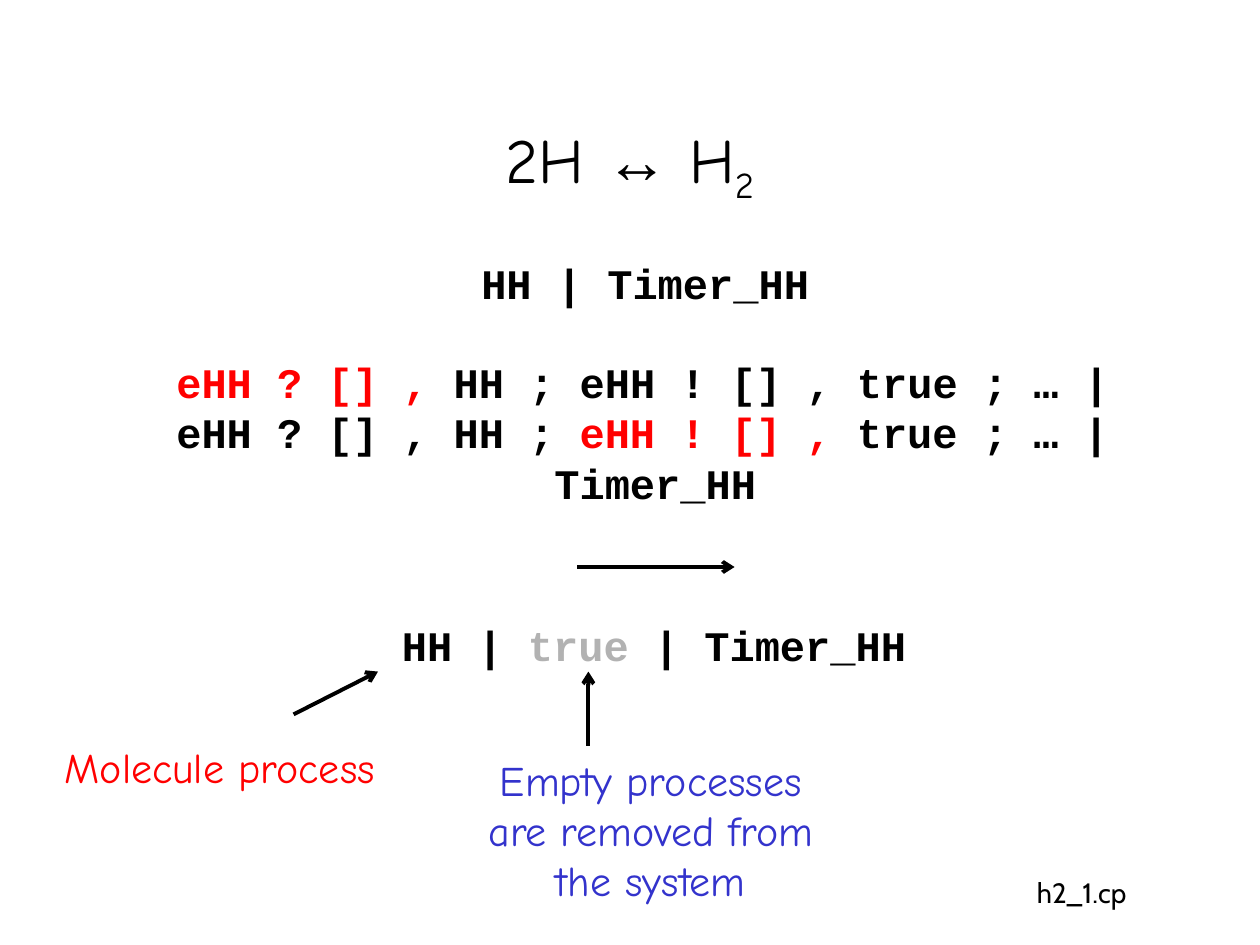
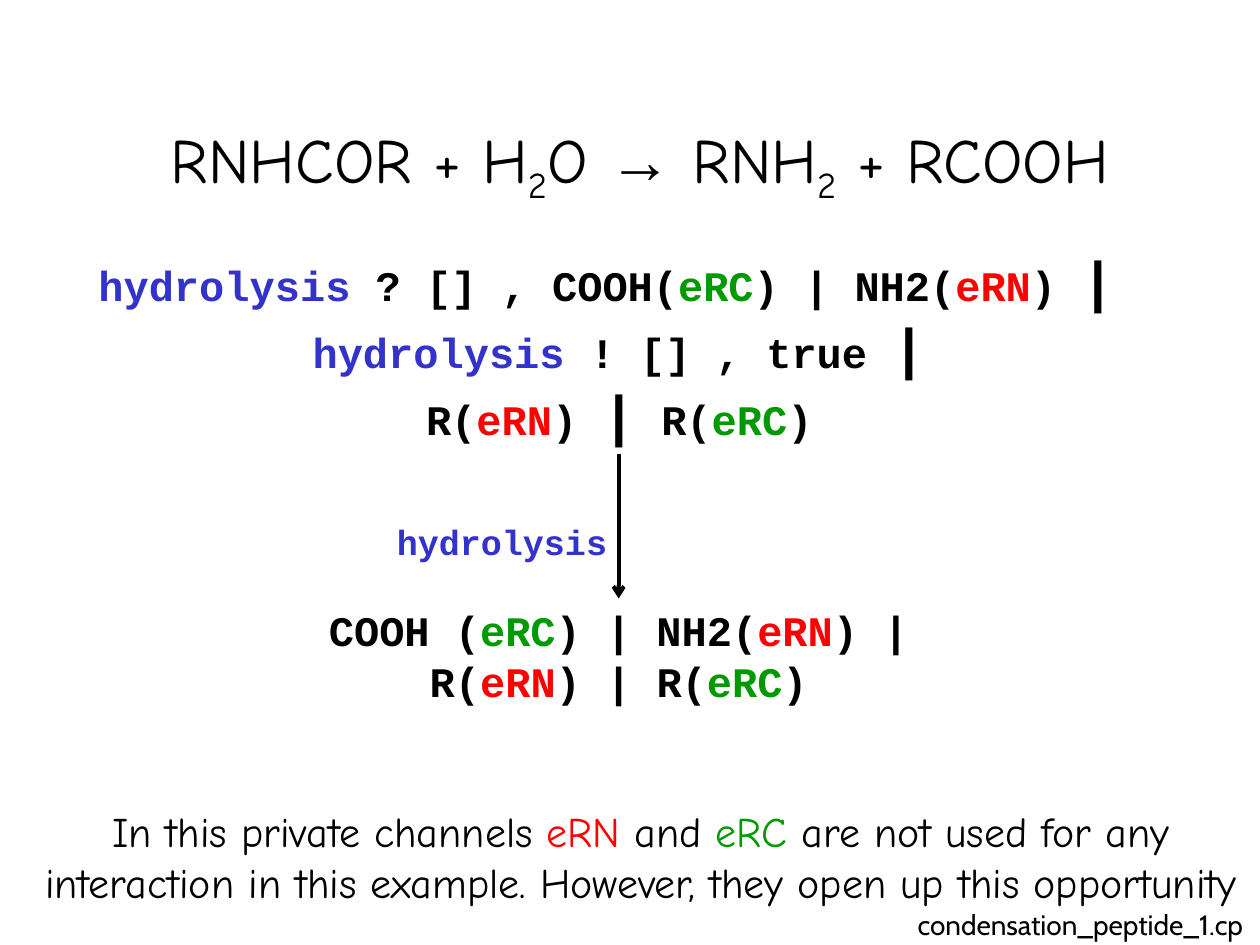
from lxml import etree
from pptx import Presentation
from pptx import util as u
from pptx.dml.color import RGBColor
from pptx.enum import shapes, text
from pptx.oxml.ns import qn

PX = 9144  # 100 px to the inch

RED = {"color": "FF0000"}
GREEN = {"color": "009900"}
BLUE = {"color": "3333CC"}
GREY = {"color": "B2B2B2"}
SUBSCRIPT = {"baseline": "-25000"}
SYMBOL = {"font": "Arial"}
TALL = {"size": 32}

TITLE = {"font": "Comic Neue", "size": 36}
NOTE = {"font": "Comic Neue", "size": 24}
CODE = {"font": "Courier New", "size": 24, "bold": True}
FILE_NAME = {"font": "Cabin", "size": 16}

MIDDLE = text.MSO_ANCHOR.MIDDLE
TOP = text.MSO_ANCHOR.TOP


def add_text(slide, box, style, runs, anchor=MIDDLE, wrap=False):
    """Add centred runs; each run is plain text or (text, style changes)."""
    shape = slide.shapes.add_textbox(*(n * PX for n in box))
    frame = shape.text_frame
    frame.word_wrap = wrap
    frame.vertical_anchor = anchor
    paragraph = frame.paragraphs[0]
    paragraph.alignment = text.PP_ALIGN.CENTER
    for entry in runs:
        words, changes = (entry, {}) if isinstance(entry, str) else entry
        look = {"color": "000000", **style, **changes}
        for number, line in enumerate(words.split("\n")):
            if number:
                paragraph.add_line_break()
            run = paragraph.add_run()
            run.text = line
            run.font.name = look["font"]
            run.font.size = u.Pt(look["size"])
            run.font.bold = look.get("bold", False)
            run.font.color.rgb = RGBColor.from_string(look["color"])
            if "baseline" in look:
                run._r.get_or_add_rPr().set("baseline", look["baseline"])
    return shape


def add_arrow(slide, *ends):
    arrow = slide.shapes.add_connector(
        shapes.MSO_CONNECTOR.STRAIGHT, *(n * PX for n in ends))
    arrow.line.color.rgb = RGBColor.from_string("000000")
    arrow.line.width = u.Pt(2.25)
    etree.SubElement(arrow.line._get_or_add_ln(), qn("a:tailEnd"), type="arrow")
    etree.SubElement(arrow._element.spPr, qn("a:effectLst"))


presentation = Presentation()
presentation.slide_width = 1000 * PX
presentation.slide_height = 750 * PX
blank = presentation.slide_layouts[6]

# Slide 1: hydrogen molecule
slide = presentation.slides.add_slide(blank)
add_text(slide, (75, 67, 850, 125), TITLE,
         ["2H ", ("↔", SYMBOL), " H", ("2", SUBSCRIPT)], wrap=True)
add_text(slide, (308, 183, 408, 83), CODE, ["HH | Timer_HH"])
add_text(slide, (130, 278, 760, 130), CODE, [
    ("eHH ? [] ,", RED), " HH ; eHH ! [] , true ; … |\neHH ? [] , HH ; ",
    ("eHH ! [] ,", RED), " true ; … |\n Timer_HH"], anchor=TOP)
add_text(slide, (309, 487, 420, 50), CODE,
         ["HH | ", ("true", GREY), " | Timer_HH"], anchor=TOP)
for left, top, note, color in (
        (375, 592, "Empty processes are removed from the system", BLUE),
        (33, 542, "Molecule process", RED)):
    add_text(slide, (left, top, 283, 133), NOTE, [(note, color)], wrap=True)
for ends in ((458, 450, 583, 450), (467, 592, 467, 533), (233, 567, 300, 533)):
    add_arrow(slide, *ends)
add_text(slide, (742, 692, 233, 33), FILE_NAME, ["h2_1.cp"])

# Slide 2: peptide hydrolysis
slide = presentation.slides.add_slide(blank)
add_text(slide, (58, 67, 900, 125), TITLE, [
    "RNHCOR + H", ("2", SUBSCRIPT), "O ", ("→", SYMBOL),
    " RNH", ("2", SUBSCRIPT), " + RCOOH"], wrap=True)
add_text(slide, (68, 190, 847, 170), CODE, [
    ("hydrolysis", BLUE), " ? [] , COOH(", ("eRC", GREEN), ") | NH2(",
    ("eRN", RED), ") ", ("|", TALL), " \n ",
    ("hydrolysis", BLUE), " ! [] , true ", ("|", TALL), " \nR(",
    ("eRN", RED), ") ", ("|", TALL), " R(", ("eRC", GREEN), ")"], anchor=TOP)
add_text(slide, (120, 475, 742, 90), CODE, [
    "COOH (", ("eRC", GREEN), ") | NH2(", ("eRN", RED), ") |\nR(",
    ("eRN", RED), ") | R(", ("eRC", GREEN), ")"], anchor=TOP, wrap=True)
add_arrow(slide, 491, 360, 491, 475)
add_text(slide, (305, 408, 187, 44), {**CODE, "size": 20},
         [("hydrolysis", BLUE)], anchor=TOP)
remark = add_text(slide, (25, 642, 967, 75), NOTE, [
    "In this private channels ", ("eRN ", RED), "and ", ("eRC ", GREEN),
    "are not used for any interaction in this example. "
    "However, they open up this opportunity"], wrap=True)
remark.fill.solid()
remark.fill.fore_color.rgb = RGBColor.from_string("FFFFFF")
add_text(slide, (715, 717, 285, 33), FILE_NAME, ["condensation_peptide_1.cp"])

presentation.save("out.pptx")
